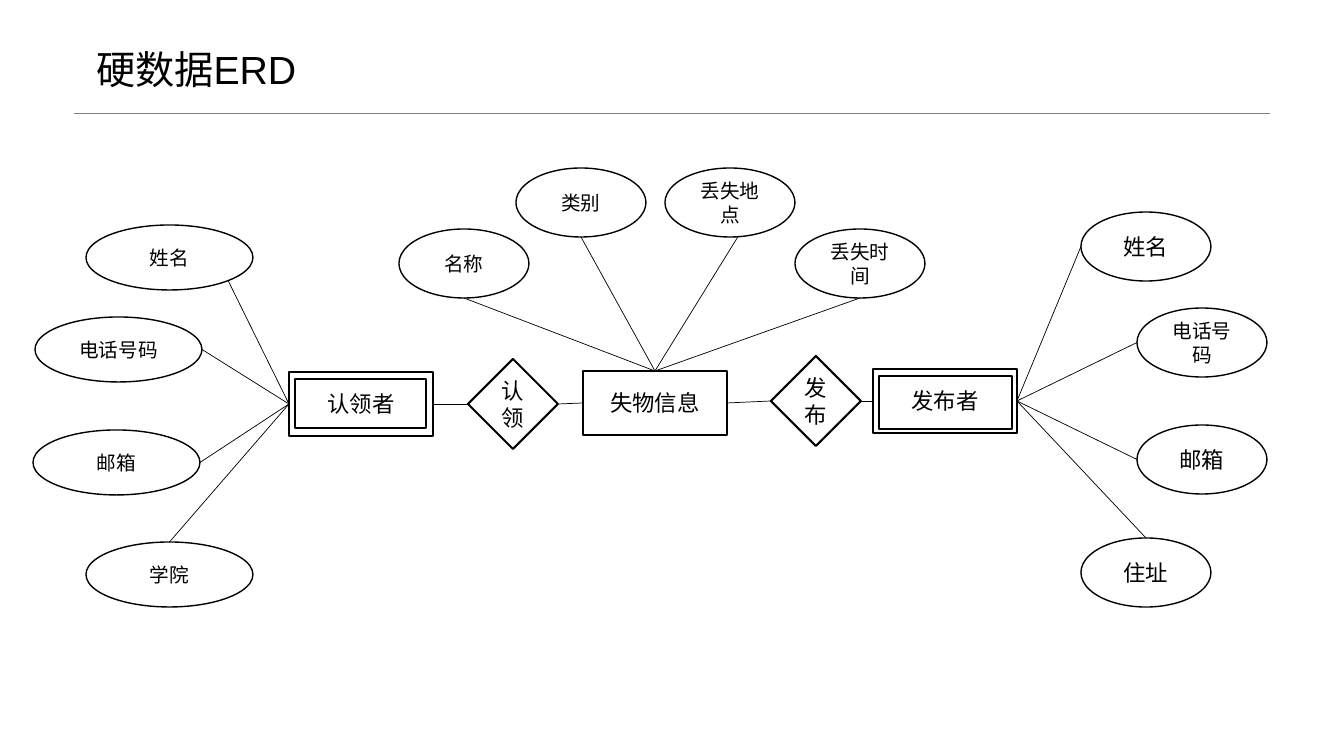
from dataclasses import dataclass

from pptx import Presentation
from pptx.dml.color import RGBColor
from pptx.enum.shapes import MSO_CONNECTOR, MSO_SHAPE
from pptx.enum.text import MSO_ANCHOR, MSO_AUTO_SIZE, PP_ALIGN
from pptx.oxml.ns import qn
from pptx.util import Emu, Pt

EMU_PER_PIXEL = 914400 / 100.8
FONT = "Arial"
COLORS = {"ink": "000000", "rule": "808080"}

Point = tuple[float, float]
TOP, BOTTOM, LEFT, RIGHT = (0.5, 0), (0.5, 1), (0, 0.5), (1, 0.5)
LOWER_RIGHT = (0.85, 0.85)


@dataclass(frozen=True)
class Node:
    kind: MSO_SHAPE
    left: int
    top: int
    width: int
    height: int
    text: str = ""
    size: int = 16
    border: float = 1.5

    def at(self, place: Point) -> Point:
        return self.left + place[0] * self.width, self.top + place[1] * self.height


@dataclass(frozen=True)
class Attribute:
    node: Node
    place: Point  # where its line touches the ellipse


def px(length: float) -> Emu:
    return Emu(round(length * EMU_PER_PIXEL))


def color(name: str) -> RGBColor:
    return RGBColor.from_string(COLORS[name])


def entity(left: int, top: int, text: str) -> Node:
    return Node(MSO_SHAPE.RECTANGLE, left, top, 144, 64, text)


def relation(left: int, top: int, text: str) -> Node:
    return Node(MSO_SHAPE.DIAMOND, left, top, 90, 90, text)


def attribute(left: int, top: int, text: str, place: Point, size: int = 14,
              width: int = 130, height: int = 69) -> Attribute:
    return Attribute(Node(MSO_SHAPE.OVAL, left, top, width, height, text, size, 1), place)


def wide_attribute(left: int, top: int, text: str, place: Point) -> Attribute:
    return attribute(left, top, text, place, width=167, height=65)


def draw_node(node: Node) -> None:
    shape = slide.shapes.add_shape(
        node.kind, px(node.left), px(node.top), px(node.width), px(node.height))
    shape.shadow.inherit = False
    shape.fill.background()
    shape.line.color.rgb = color("ink")
    shape.line.width = Pt(node.border)
    if node.text:
        frame = shape.text_frame
        frame.word_wrap = True
        frame.vertical_anchor = MSO_ANCHOR.MIDDLE
        write(frame.paragraphs[0], node.text, node.size, PP_ALIGN.CENTER)


def write(paragraph, text: str, size: int, alignment: PP_ALIGN) -> None:
    paragraph.text = text
    paragraph.alignment = alignment
    paragraph.font.name = FONT
    paragraph.font.size = Pt(size)
    paragraph.font.color.rgb = color("ink")


def draw_line(start: Point, end: Point, width: float = 0.5, ink: str = "ink") -> None:
    line = slide.shapes.add_connector(
        MSO_CONNECTOR.STRAIGHT, *map(px, start), *map(px, end))
    line.line.color.rgb = color(ink)
    line.line.width = Pt(width)
    properties = line._element.spPr
    properties.append(properties.makeelement(qn("a:effectLst"), {}))


# Entities and relations, along the middle row
claimant = entity(289, 372, "认领者")
lost_item = entity(583, 371, "失物信息")
publisher = entity(873, 369, "发布者")
claim = relation(468, 359, "认领")
publish = relation(771, 356, "发布")
chain = [claimant, claim, lost_item, publish, publisher]

# Inner frames of the double-bordered entities
inner_frames = [
    Node(MSO_SHAPE.RECTANGLE, 295, 379, 131, 49, border=1),
    Node(MSO_SHAPE.RECTANGLE, 879, 376, 133, 53, border=1),
]

# Attributes of each entity, with the entity's meeting point
fans = [
    (claimant, LEFT, [
        wide_attribute(86, 225, "姓名", LOWER_RIGHT),
        wide_attribute(35, 317, "电话号码", RIGHT),
        wide_attribute(33, 430, "邮箱", RIGHT),
        wide_attribute(86, 542, "学院", TOP),
    ]),
    (lost_item, TOP, [
        attribute(399, 229, "名称", BOTTOM),
        attribute(516, 168, "类别", BOTTOM),
        attribute(665, 168, "丢失地点", (0.56, 1)),
        attribute(795, 229, "丢失时间", BOTTOM),
    ]),
    (publisher, RIGHT, [
        attribute(1081, 212, "姓名", LEFT, 16),
        attribute(1137, 308, "电话号码", LEFT),
        attribute(1137, 425, "邮箱", LEFT, 16),
        attribute(1081, 538, "住址", TOP, 16),
    ]),
]

presentation = Presentation()
presentation.slide_width, presentation.slide_height = px(1344), px(756)
slide = presentation.slides.add_slide(presentation.slide_layouts[5])

# Title and the rule below it
title = slide.shapes.title
title.left, title.top, title.width, title.height = map(px, (86, 40, 248, 58))
title.text_frame.auto_size = MSO_AUTO_SIZE.NONE
title.text_frame.vertical_anchor = MSO_ANCHOR.MIDDLE
write(title.text_frame.paragraphs[0], "硬数据ERD", 28, PP_ALIGN.LEFT)
draw_line((74, 113), (1270, 113), 0.25, "rule")

# Diagram
for node in chain + inner_frames:
    draw_node(node)
for before, after in zip(chain, chain[1:]):
    draw_line(before.at(RIGHT), after.at(LEFT))
for owner, meeting_point, attributes in fans:
    for item in attributes:
        draw_node(item.node)
        draw_line(owner.at(meeting_point), item.node.at(item.place))

presentation.save("out.pptx")
